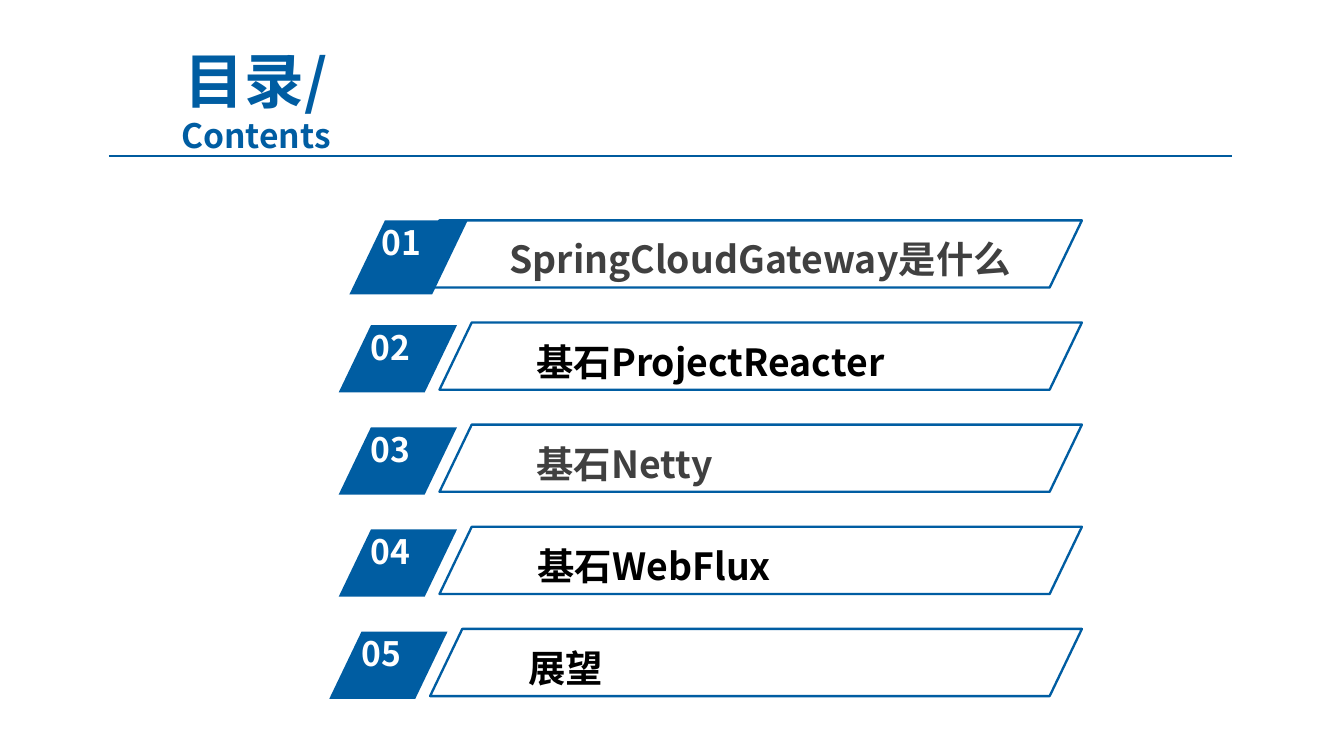
from dataclasses import dataclass

import lxml.etree
import pptx
import pptx.dml.color
import pptx.enum.shapes
import pptx.enum.text
import pptx.oxml.ns
import pptx.util

Inches = pptx.util.Inches
Pt = pptx.util.Pt
qn = pptx.oxml.ns.qn
PARALLELOGRAM = pptx.enum.shapes.MSO_SHAPE.PARALLELOGRAM


@dataclass(frozen=True)
class Theme:
    font: str = "Noto Sans CJK SC"
    blue: str = "005DA2"
    rule: str = "005B9E"
    white: str = "FFFFFF"
    gray: str = "404040"
    black: str = "000000"
    title_size: int = 32
    small_size: int = 18
    entry_size: int = 20


@dataclass(frozen=True)
class Entry:
    text: str
    color: str
    badge_left: float = 2.52
    frame_left: float = 3.27
    text_left: float = 3.92
    text_width: float = 3.51
    badge_rise: float = 0
    badge_height: float = 0.5


def rgb(value):
    return pptx.dml.color.RGBColor.from_string(value)


def add_text(p, text, *, font, size, color, bold=True):
    """Append a run, naming the font for Latin and East Asian glyphs alike."""
    r = p.add_run()
    r.text = text
    r.font.name = font
    r.font.size = Pt(size)
    r.font.bold = bold
    r.font.color.rgb = rgb(color)
    ea = lxml.etree.Element(qn("a:ea"), typeface=font)
    r.font._element.find(qn("a:latin")).addnext(ea)
    return r


class ContentsSlide:
    def __init__(self, prs, theme):
        self.theme = theme
        self.s = prs.slides.add_slide(prs.slide_layouts[5])

    def title(self, heading, subtitle, box):
        t = self.theme
        sp = self.s.shapes.title
        sp.left, sp.top, sp.width, sp.height = map(Inches, box)
        tf = sp.text_frame
        tf.auto_size = pptx.enum.text.MSO_AUTO_SIZE.NONE
        tf.vertical_anchor = pptx.enum.text.MSO_ANCHOR.MIDDLE
        p = tf.paragraphs[0]
        p.alignment = pptx.enum.text.PP_ALIGN.CENTER
        add_text(p, heading, font=t.font, size=t.title_size, color=t.blue)
        p.add_line_break()
        add_text(p, subtitle, font=t.font, size=t.small_size, color=t.blue)

    def rule(self, left, right, y):
        line = self.s.shapes.add_connector(
            pptx.enum.shapes.MSO_CONNECTOR.STRAIGHT,
            Inches(left), Inches(y), Inches(right), Inches(y))
        line.line.color.rgb = rgb(self.theme.rule)
        line.line.width = Pt(0.75)
        lxml.etree.SubElement(line._element.spPr, qn("a:effectLst"))

    def parallelogram(self, group, box, filled):
        sp = group.shapes.add_shape(PARALLELOGRAM, *map(Inches, box))
        sp.adjustments[0] = 0.48
        sp.shadow.inherit = False
        if filled:
            sp.fill.solid()
            sp.fill.fore_color.rgb = rgb(self.theme.blue)
            sp.line.fill.background()
        else:
            sp.fill.background()
            sp.line.color.rgb = rgb(self.theme.blue)
            sp.line.width = Pt(1.25)

    def label(self, group, text, box, size, color, margins=(0.1, 0.05)):
        tf = group.shapes.add_textbox(*map(Inches, box)).text_frame
        tf.word_wrap = True
        tf.margin_left = tf.margin_right = Inches(margins[0])
        tf.margin_top = tf.margin_bottom = Inches(margins[1])
        add_text(tf.paragraphs[0], text, font=self.theme.font, size=size, color=color)

    def badge(self, number, left, top, height):
        t = self.theme
        group = self.s.shapes.add_group_shape()
        self.parallelogram(group, (left, top, 0.88, height), filled=True)
        self.label(group, f"{number:02d}", (left + 0.14, top - 0.04, 0.84, 0.4),
                   t.small_size, t.white)

    def entry(self, number, entry, top):
        self.badge(number, entry.badge_left, top + 0.02 - entry.badge_rise,
                   entry.badge_height)
        group = self.s.shapes.add_group_shape()
        self.label(group, entry.text, (entry.text_left, top + 0.08, entry.text_width, 0.41),
                   self.theme.entry_size, entry.color, margins=(0.07, 0.04))
        frame_right = 8.05
        self.parallelogram(
            group, (entry.frame_left, top, frame_right - entry.frame_left, 0.5), filled=False)


def main():
    prs = pptx.Presentation()
    prs.slide_width = Inches(10)
    prs.slide_height = prs.slide_width * 9 // 16
    theme = Theme()
    entries = [
        Entry("SpringCloudGateway是什么", theme.gray, badge_left=2.6, frame_left=3.03,
              text_left=3.72, text_width=4.43, badge_rise=0.02, badge_height=0.55),
        Entry("基石ProjectReacter", theme.black),
        Entry("基石Netty", theme.gray),
        Entry("基石WebFlux", theme.black, text_left=3.93),
        Entry("展望", theme.black, badge_left=2.45, frame_left=3.2, text_left=3.86),
    ]
    first_top, pitch = 1.64, 0.76

    slide = ContentsSlide(prs, theme)
    slide.title("目录/", "Contents", (0.67, 0.47, 2.47, 0.54))
    slide.rule(0.81, 9.17, 1.16)
    for i, entry in enumerate(entries):
        slide.entry(i + 1, entry, first_top + i * pitch)
    prs.save("out.pptx")


if __name__ == "__main__":
    main()
